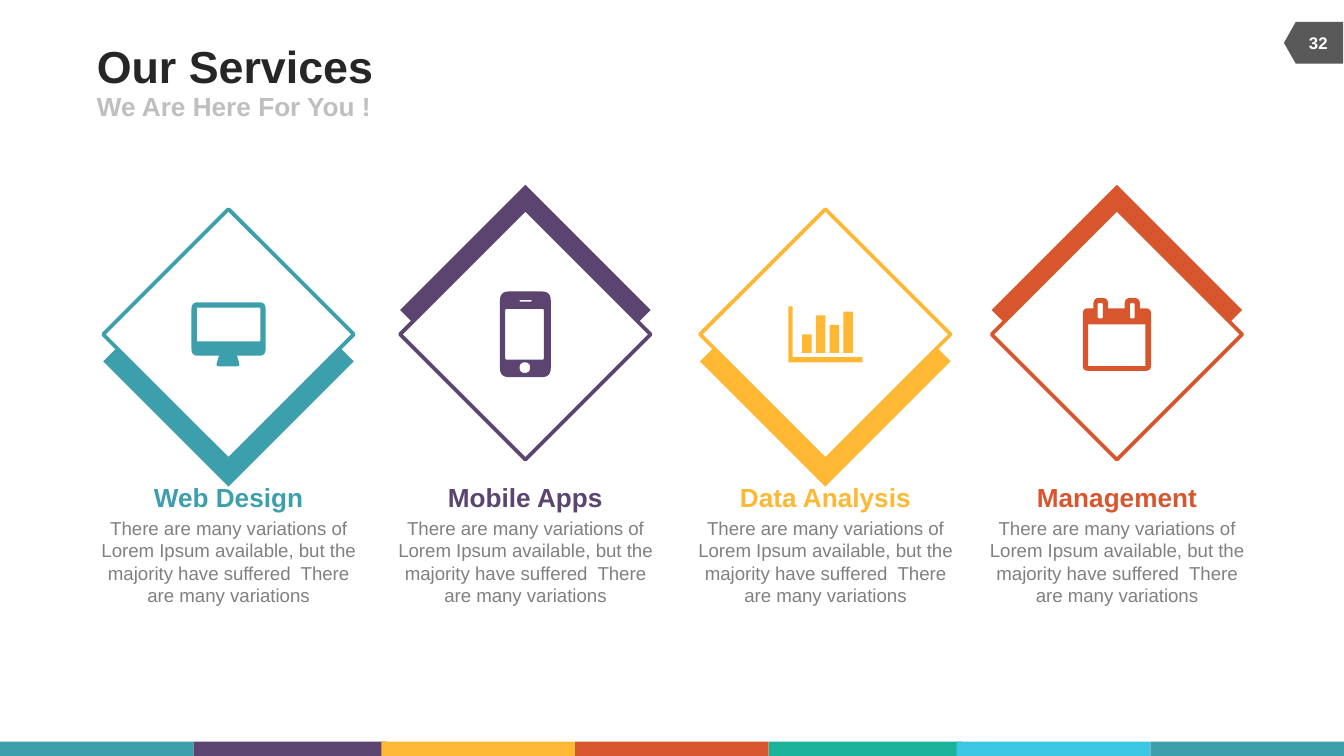
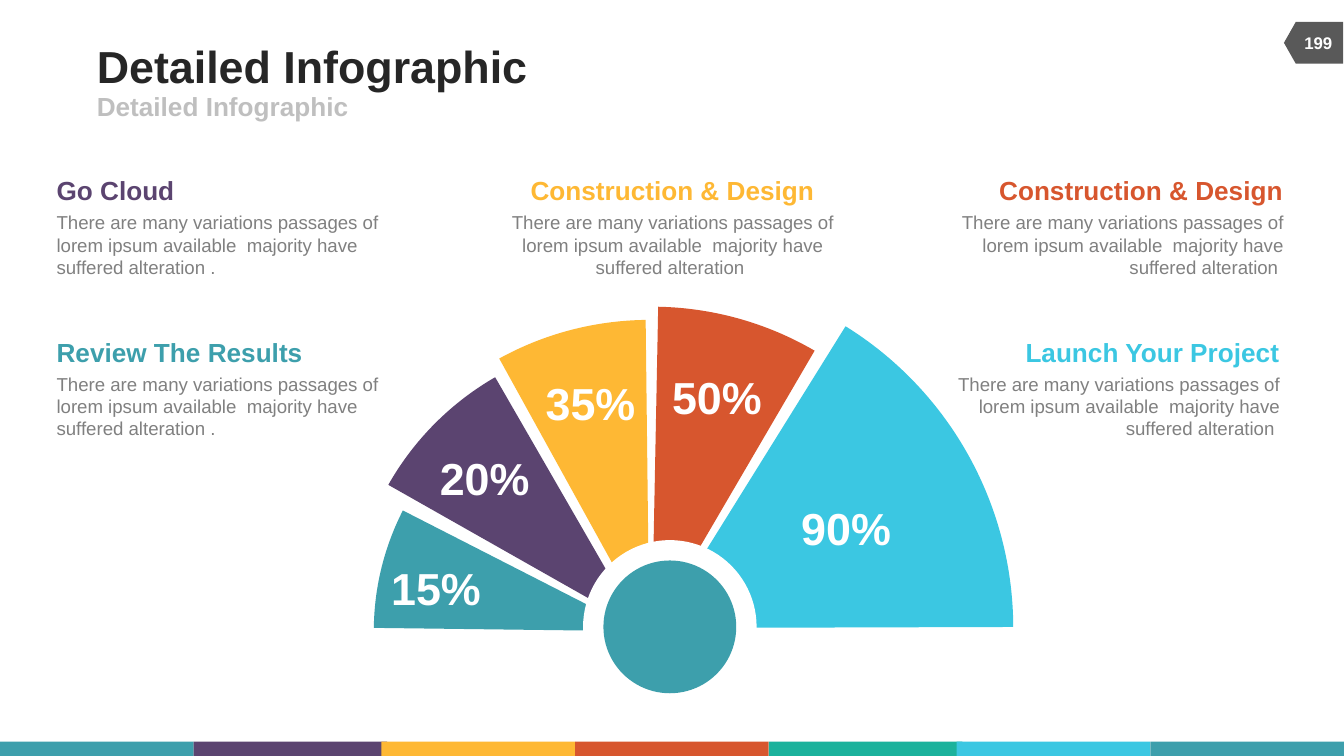
"""Build two infographic slides: a service overview and a fan of percentages."""
from dataclasses import dataclass

import pptx
import pptx.dml.color
import pptx.enum.shapes
import pptx.enum.text
import pptx.shapes.autoshape
import pptx.slide
import pptx.text.text
import pptx.util

Cm = pptx.util.Cm
RGBColor = pptx.dml.color.RGBColor
Shape = pptx.enum.shapes.MSO_SHAPE
Align = pptx.enum.text.PP_ALIGN
Anchor = pptx.enum.text.MSO_ANCHOR
Slide = pptx.slide.Slide
Frame = pptx.text.text.TextFrame

TEAL = RGBColor(0x3D, 0x9F, 0xAC)
PURPLE = RGBColor(0x5B, 0x44, 0x70)
YELLOW = RGBColor(0xFE, 0xB8, 0x34)
RED = RGBColor(0xD7, 0x56, 0x2E)
GREEN = RGBColor(0x1B, 0xB2, 0x9C)
CYAN = RGBColor(0x3B, 0xC7, 0xE2)
WHITE = RGBColor(0xFF, 0xFF, 0xFF)
INK = RGBColor(0x26, 0x26, 0x26)
SILVER = RGBColor(0xBF, 0xBF, 0xBF)
GRAY = RGBColor(0x80, 0x80, 0x80)
TAG = RGBColor(0x59, 0x59, 0x59)

FONT = "Arial"
BAND_LEFTS = (0, 3.66, 7.21, 10.87, 14.53, 18.08, 21.74)
BAND_COLORS = (TEAL, PURPLE, YELLOW, RED, GREEN, CYAN, TEAL)
DIAMOND_SIDE = 3.35
DIAMOND_Y = 6.32
NOTE_WIDTH = 6.32
FAN_TURN = 240
SERVICE_TEXT = ("There are many variations of Lorem Ipsum available, but the "
                "majority have suffered  There are many variations")
NOTE_TEXT = ("There are many variations passages of lorem ipsum available  "
             "majority have suffered alteration ")

Corner = tuple[float, float, float]
Outline = list[Corner]


@dataclass(frozen=True)
class Box:
    """A rectangle in centimetres."""

    left: float
    top: float
    width: float
    height: float

    def lengths(self) -> tuple[Cm, Cm, Cm, Cm]:
        """Return the rectangle as lengths."""
        return Cm(self.left), Cm(self.top), Cm(self.width), Cm(self.height)


@dataclass(frozen=True)
class Service:
    """A diamond with an icon, a thick edge and a caption."""

    title: str
    color: RGBColor
    x: float
    edge_shift: float
    icon: list[Outline]


@dataclass(frozen=True)
class Wedge:
    """A slice of the fan with its percentage."""

    label: str
    color: RGBColor
    x: float
    y: float
    diameter: float
    start: float
    end: float
    label_left: float
    label_top: float


@dataclass(frozen=True)
class Note:
    """A heading over a short text."""

    title: str
    color: RGBColor
    left: float
    top: float
    title_width: float
    align: Align
    text: str = NOTE_TEXT


def centred(x: float, y: float, width: float, height: float) -> Box:
    """Return the box around a centre."""
    return Box(x - width / 2, y - height / 2, width, height)


def panel(left: float, top: float, right: float, bottom: float,
          radius: float = 0) -> Outline:
    """Return the corners of a rectangle with an optional radius."""
    return [(left, top, radius), (right, top, radius),
            (right, bottom, radius), (left, bottom, radius)]


MONITOR = [
    [(0, 0, .12), (1.4, 0, .12), (1.4, 1.01, .12), (.86, 1.01, 0),
     (.92, 1.21, .06), (.46, 1.21, .06), (.52, 1.01, 0), (0, 1.01, .12)],
    panel(.1, .1, 1.3, .74, .02),
]
PHONE = [
    panel(0, 0, .96, 1.62, .17),
    panel(.1, .33, .83, 1.29, .03),
    panel(.37, .16, .6, .19, .01),
    panel(.37, 1.34, .57, 1.54, .1),
]
BARS = [
    [(0, 0, 0), (.08, 0, 0), (.08, .96, 0), (1.4, .96, 0), (1.4, 1.06, 0), (0, 1.06, 0)],
    *(panel(.26 + .26 * i, top, .44 + .26 * i, .88)
      for i, top in enumerate((.53, .17, .35, .1))),
]
CALENDAR = [
    [(0, .2, .1), (.2, .2, 0), (.2, 0, .12), (.48, 0, .12), (.48, .2, 0),
     (.79, .2, 0), (.79, 0, .12), (1.08, 0, .12), (1.08, .2, 0),
     (1.29, .2, .1), (1.29, 1.38, .1), (0, 1.38, .1)],
    panel(.1, .5, 1.18, 1.29),
    panel(.28, .1, .38, .39, .03),
    panel(.89, .1, .98, .39, .03),
]

SERVICES = (
    Service("Web Design", TEAL, 4.32, .51, MONITOR),
    Service("Mobile Apps", PURPLE, 9.93, -.46, PHONE),
    Service("Data Analysis", YELLOW, 15.6, .51, BARS),
    Service("Management", RED, 21.11, -.46, CALENDAR),
)
WEDGES = (
    Wedge("20%", PURPLE, 12.08, 11.85, 10.9, 329.54, .03, 8.31, 8.51),
    Wedge("35%", YELLOW, 12.27, 11.91, 11.73, 1.1, 29.34, 10.31, 7.09),
    Wedge("50%", RED, 12.32, 11.89, 12.19, 31.12, 60.29, 12.7, 6.99),
    Wedge("90%", CYAN, 12.43, 11.87, 13.44, 61.9, 119.82, 15.14, 9.47),
    Wedge("15%", TEAL, 12.08, 11.93, 10.03, 300.73, 327.07, 7.39, 10.59),
)
NOTES = (
    Note("Go Cloud", PURPLE, 1.07, 3.3, 2.24, Align.LEFT, NOTE_TEXT + "."),
    Note("Review The Results", TEAL, 1.07, 6.35, 4.67, Align.LEFT, NOTE_TEXT + "."),
    Note("Construction & Design", YELLOW, 9.55, 3.3, 5.38, Align.CENTER),
    Note("Construction & Design", RED, 17.93, 3.3, 5.38, Align.RIGHT),
    Note("Launch Your Project", CYAN, 17.86, 6.35, 4.83, Align.RIGHT),
)


def paint(shape: pptx.shapes.autoshape.Shape, fill: RGBColor,
          line: RGBColor | None = None) -> None:
    """Give a shape a flat fill and an optional 2 pt line."""
    shape.shadow.inherit = False
    shape.fill.solid()
    shape.fill.fore_color.rgb = fill
    if line is None:
        shape.line.fill.background()
    else:
        shape.line.color.rgb = line
        shape.line.width = pptx.util.Pt(2)


def draw(slide: Slide, kind: Shape, box: Box, fill: RGBColor,
         line: RGBColor | None = None, turn: float = 0) -> pptx.shapes.autoshape.Shape:
    """Add a preset shape."""
    shape = slide.shapes.add_shape(kind, *box.lengths())
    shape.rotation = turn
    paint(shape, fill, line)
    return shape


def open_frame(slide: Slide, box: Box, anchor: Anchor = Anchor.TOP,
               wrap: bool = False, inset: tuple[float, float] = (0, 0)) -> Frame:
    """Add a text box and return its text frame."""
    frame = slide.shapes.add_textbox(*box.lengths()).text_frame
    frame.word_wrap = wrap
    frame.vertical_anchor = anchor
    frame.margin_left = frame.margin_right = Cm(inset[0])
    frame.margin_top = frame.margin_bottom = Cm(inset[1])
    return frame


def write(frame: Frame, text: str, *, size: float, color: RGBColor, bold: bool = False,
          align: Align = Align.LEFT, before: float = 0) -> None:
    """Append a formatted paragraph to a text frame."""
    paragraph = frame.paragraphs[0]
    if paragraph.runs:
        paragraph = frame.add_paragraph()
        paragraph.space_before = pptx.util.Pt(before)
    paragraph.alignment = align
    run = paragraph.add_run()
    run.text = text
    run.font.name = FONT
    run.font.size = pptx.util.Pt(size)
    run.font.bold = bold
    run.font.color.rgb = color


def rounded(outline: Outline, steps: int = 6) -> list[tuple[float, float]]:
    """Replace each corner that has a radius by a short curve."""
    points = []
    for i, (x, y, radius) in enumerate(outline):
        if not radius:
            points.append((x, y))
            continue
        ends = []
        for near_x, near_y, _ in (outline[i - 1], outline[(i + 1) % len(outline)]):
            distance = ((near_x - x) ** 2 + (near_y - y) ** 2) ** .5
            ends.append((x + (near_x - x) * radius / distance,
                         y + (near_y - y) * radius / distance))
        (ax, ay), (bx, by) = ends
        for step in range(steps + 1):
            t = step / steps
            points.append(((1 - t) ** 2 * ax + 2 * t * (1 - t) * x + t * t * bx,
                           (1 - t) ** 2 * ay + 2 * t * (1 - t) * y + t * t * by))
    return points


def draw_icon(slide: Slide, icon: list[Outline], x: float, y: float,
              color: RGBColor) -> None:
    """Draw outlines as one shape centred on a point."""
    left = x - max(corner[0] for corner in icon[0]) / 2
    top = y - max(corner[1] for corner in icon[0]) / 2
    builder = None
    for outline in icon:
        start, *rest = [(Cm(left + px), Cm(top + py)) for px, py in rounded(outline)]
        if builder is None:
            builder = slide.shapes.build_freeform(*start)
        else:
            builder.move_to(*start)
        builder.add_line_segments(rest, close=True)
    paint(builder.convert_to_shape(), color)


def new_slide(deck, title: str, subtitle: str, number: str) -> Slide:
    """Add a slide with the bands, page tag and titles."""
    slide = deck.slides.add_slide(deck.slide_layouts[6])
    for left, color in zip(BAND_LEFTS, BAND_COLORS):
        draw(slide, Shape.RECTANGLE, Box(left, 14.02, 3.66, .27), color)
    draw(slide, Shape.FLOWCHART_OFFPAGE_CONNECTOR, Box(24.43, .25, .79, 1.12), TAG, turn=90)
    write(open_frame(slide, Box(1.83, .74, 15.67, .99), Anchor.MIDDLE),
          title, size=24, color=INK, bold=True)
    write(open_frame(slide, Box(1.83, 1.73, 11.43, .56), Anchor.MIDDLE),
          subtitle, size=14, color=SILVER, bold=True)
    write(open_frame(slide, Box(24.38, .43, 1.07, .76), Anchor.MIDDLE, True),
          number, size=9, color=WHITE, bold=True, align=Align.CENTER)
    return slide


def draw_service(slide: Slide, service: Service) -> None:
    """Draw one service column."""
    color = service.color
    for shift, fill, line in ((service.edge_shift, color, None), (0, WHITE, color)):
        draw(slide, Shape.RECTANGLE,
             centred(service.x, DIAMOND_Y + shift, DIAMOND_SIDE, DIAMOND_SIDE),
             fill, line, turn=315)
    draw_icon(slide, service.icon, service.x, DIAMOND_Y, color)
    caption = open_frame(slide, Box(service.x - 2.75, 8.97, 5.5, 2.64),
                         wrap=True, inset=(.25, .13))
    write(caption, service.title, size=14, color=color, bold=True, align=Align.CENTER)
    write(caption, SERVICE_TEXT, size=10, color=GRAY, align=Align.CENTER, before=2)


def draw_wedge(slide: Slide, wedge: Wedge) -> None:
    """Draw one slice of the fan."""
    pie = draw(slide, Shape.PIE, centred(wedge.x, wedge.y, wedge.diameter, wedge.diameter),
               wedge.color, turn=FAN_TURN)
    for i, degrees in enumerate((wedge.start, wedge.end)):
        pie.adjustments[i] = degrees * .6


def draw_note(slide: Slide, note: Note) -> None:
    """Draw one heading with its text."""
    share = {Align.LEFT: 0, Align.CENTER: .5, Align.RIGHT: 1}[note.align]
    title_left = note.left + (NOTE_WIDTH - note.title_width) * share
    write(open_frame(slide, Box(title_left, note.top, note.title_width, .6)),
          note.title, size=14, color=note.color, bold=True, align=note.align)
    write(open_frame(slide, Box(note.left, note.top + .69, NOTE_WIDTH, 1.27), wrap=True),
          note.text, size=10, color=GRAY, align=note.align)


def main() -> None:
    """Build and save both slides."""
    deck = pptx.Presentation()
    deck.slide_width, deck.slide_height = Cm(25.4), Cm(14.29)

    services = new_slide(deck, "Our Services", "We Are Here For You !", "32")
    for service in SERVICES:
        draw_service(services, service)

    fan = new_slide(deck, "Detailed Infographic", "Detailed Infographic", "199")
    for wedge in WEDGES:
        draw_wedge(fan, wedge)
    for diameter, color in ((3.28, WHITE), (2.51, TEAL)):
        draw(fan, Shape.OVAL, centred(12.66, 11.85, diameter, diameter), color)
    for wedge in WEDGES:
        write(open_frame(fan, Box(wedge.label_left, wedge.label_top, 1.7, 1.02), Anchor.MIDDLE),
              wedge.label, size=24, color=WHITE, bold=True, align=Align.CENTER)
    for note in NOTES:
        draw_note(fan, note)
    deck.save("out.pptx")


if __name__ == "__main__":
    main()
